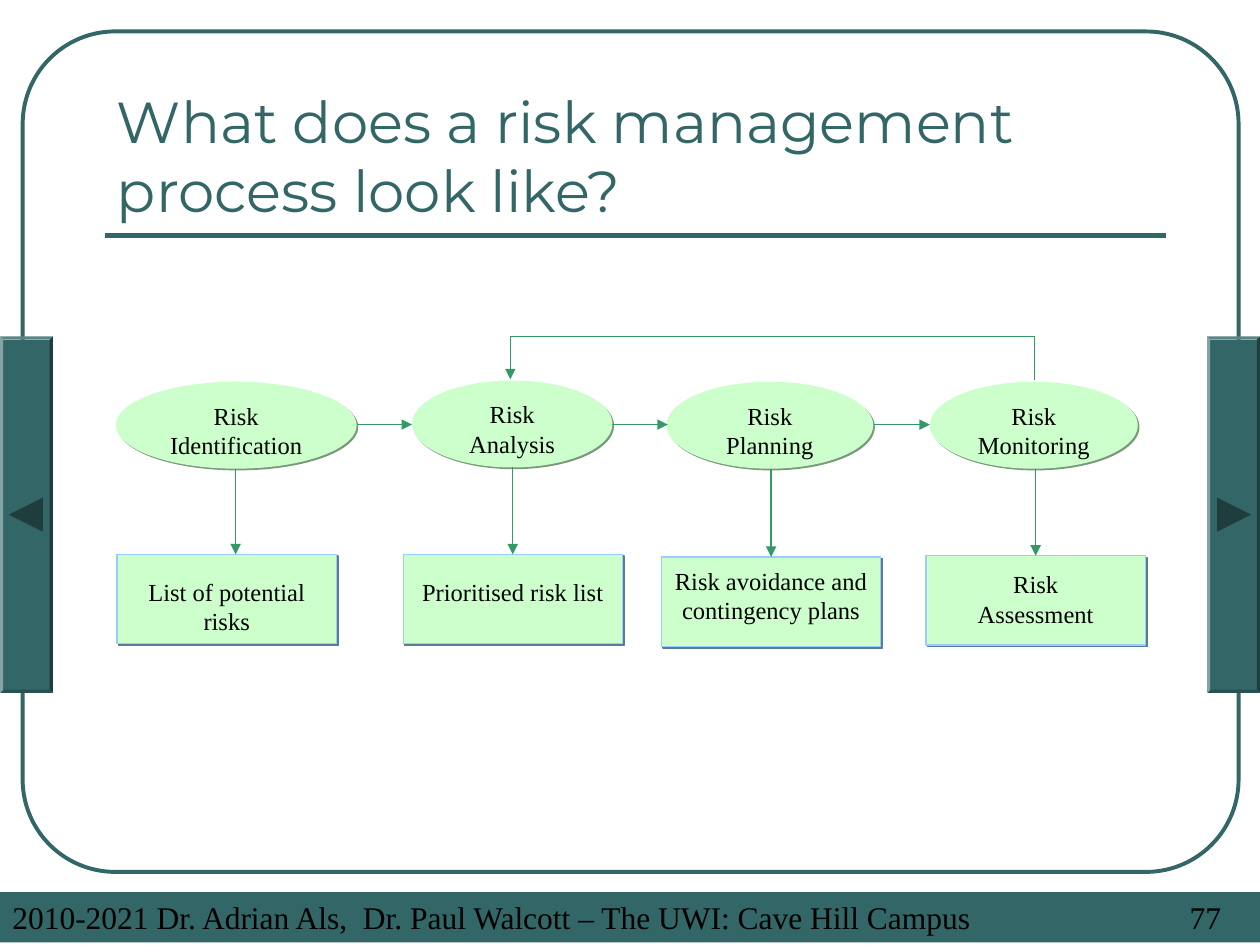
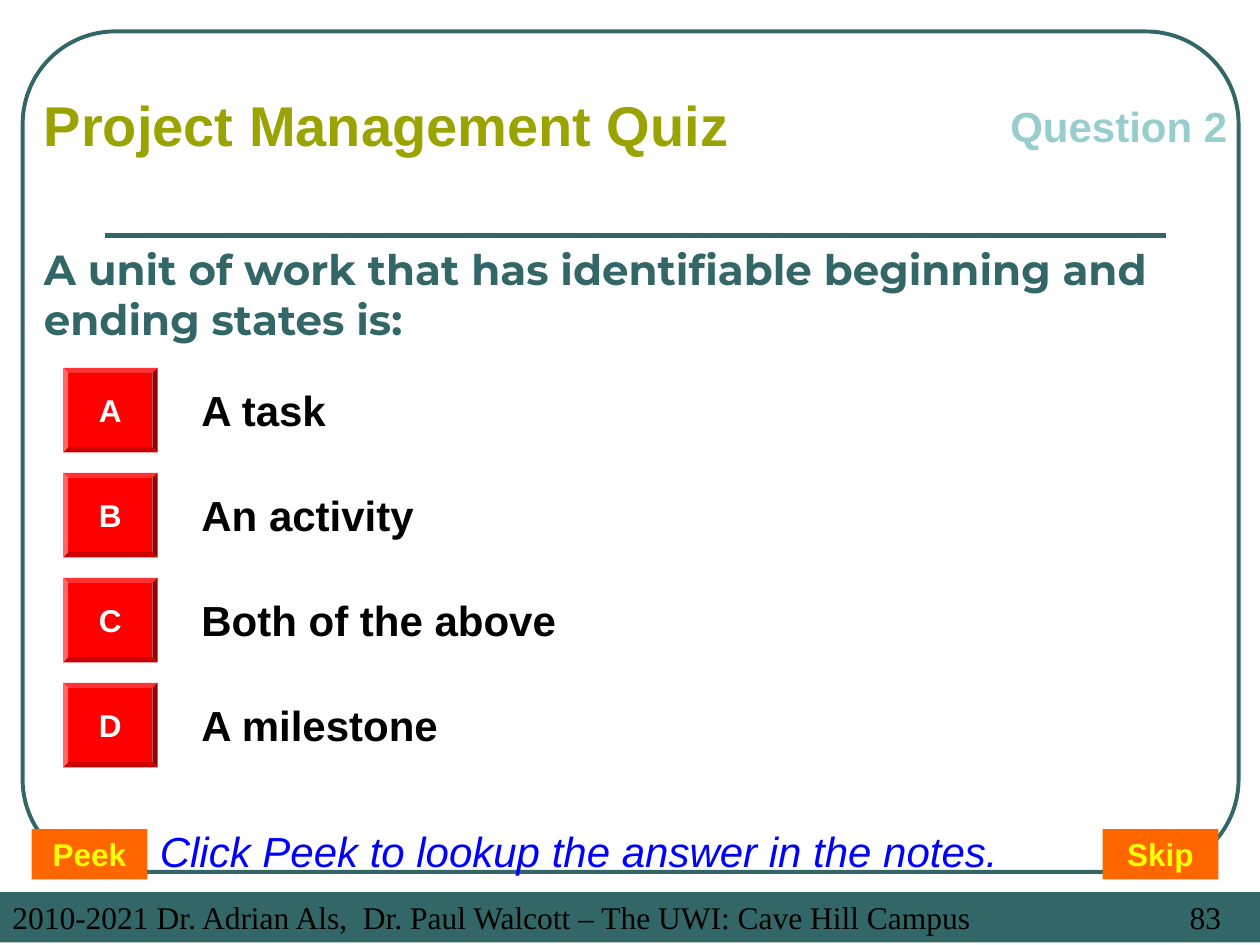
from lxml.etree import SubElement
from pptx import Presentation
from pptx.dml.color import RGBColor
from pptx.enum.shapes import MSO_CONNECTOR, MSO_SHAPE
from pptx.enum.text import MSO_ANCHOR, PP_ALIGN
from pptx.oxml.ns import qn
from pptx.util import Inches, Pt

TEAL = RGBColor(0x33, 0x66, 0x66)
DARK_TEAL = RGBColor(0x1F, 0x3D, 0x3D)
PALE_TEAL = RGBColor(0x97, 0xCD, 0xCC)
GREEN = RGBColor(0x33, 0x99, 0x66)
MINT = RGBColor(0xCC, 0xFF, 0xCC)
SKY = RGBColor(0x99, 0xCC, 0xFF)
OLIVE = RGBColor(0x9B, 0xA3, 0x01)
RED = RGBColor(0xFF, 0x00, 0x00)
ORANGE = RGBColor(0xFF, 0x66, 0x00)
YELLOW = RGBColor(0xFF, 0xFF, 0x00)
BLUE = RGBColor(0x00, 0x00, 0xFF)
BLACK = RGBColor(0x00, 0x00, 0x00)
WHITE = RGBColor(0xFF, 0xFF, 0xFF)
MINT_SHADOW = RGBColor(0x7A, 0x99, 0x7A)
SKY_SHADOW = RGBColor(0x5C, 0x7A, 0x99)

HEADING, BODY, SERIF = "Montserrat", "Arial", "Times New Roman"
LEFT, CENTER, RIGHT = PP_ALIGN.LEFT, PP_ALIGN.CENTER, PP_ALIGN.RIGHT
TOP, MIDDLE, BOTTOM = MSO_ANCHOR.TOP, MSO_ANCHOR.MIDDLE, MSO_ANCHOR.BOTTOM


def add_box(s, x, y, w, h, lines=(), size=18, color=BLACK, font=BODY, bold=False,
            italic=False, align=LEFT, anchor=TOP, kind=None, fill=None, line=None,
            weight=0.75, shadow=None):
    place = [Inches(v) for v in (x, y, w, h)]
    if kind is None:
        sp = s.shapes.add_textbox(*place)
    else:
        sp = s.shapes.add_shape(kind, *place)
        sp.shadow.inherit = False
        if fill is None:
            sp.fill.background()
        else:
            sp.fill.solid()
            sp.fill.fore_color.rgb = fill
        if line is None:
            sp.line.fill.background()
        else:
            sp.line.color.rgb = line
            sp.line.width = Pt(weight)
    if shadow is not None:
        effects = sp._element.spPr.find(qn("a:effectLst"))
        outer = SubElement(effects, qn("a:outerShdw"), dist=str(Pt(1.4)), dir="2700000",
                           algn="ctr", rotWithShape="0")
        SubElement(outer, qn("a:srgbClr"), val=str(shadow))
    tf = sp.text_frame
    tf.word_wrap = True
    tf.vertical_anchor = anchor
    for i, text in enumerate(lines):
        p = tf.add_paragraph() if i else tf.paragraphs[0]
        p.alignment = align
        r = p.add_run()
        r.text = text
        r.font.size = Pt(size)
        r.font.name = font
        r.font.bold = bold
        r.font.italic = italic
        r.font.color.rgb = color
    return sp


def add_line(s, x1, y1, x2, y2, color=GREEN, weight=0.75, arrow=True):
    cx = s.shapes.add_connector(MSO_CONNECTOR.STRAIGHT, Inches(x1), Inches(y1),
                                Inches(x2), Inches(y2))
    cx.line.color.rgb = color
    cx.line.width = Pt(weight)
    if arrow:
        SubElement(cx.line._get_or_add_ln(), qn("a:tailEnd"), type="triangle")
    SubElement(cx._element.spPr, qn("a:effectLst"))
    return cx


prs = Presentation()
prs.slide_width = Inches(10)
prs.slide_height = Inches(7.5)

slides = []
for number in ("77", "83"):
    s = prs.slides.add_slide(prs.slide_layouts[6])
    frame = add_box(s, 0.18, 0.25, 9.65, 6.67, kind=MSO_SHAPE.ROUNDED_RECTANGLE,
                    line=TEAL, weight=2.25)
    frame.adjustments[0] = 0.11
    add_line(s, 0.83, 1.87, 9.25, 1.87, TEAL, 3, arrow=False)
    add_box(s, 0, 7.08, 10, 0.4,
            ["2010-2021 Dr. Adrian Als,  Dr. Paul Walcott – The UWI: Cave Hill Campus"],
            font=SERIF, kind=MSO_SHAPE.RECTANGLE, fill=TEAL)
    add_box(s, 9, 7.08, 0.79, 0.4, [number], font=SERIF, align=RIGHT)
    slides.append(s)
process, quiz = slides

add_box(process, 0.83, 0.58, 8.42, 1.25, ["What does a risk management process look like?"],
        33, TEAL, HEADING, anchor=BOTTOM)

stages = [
    (0.92, 3.03, 1.91, "Identification", 0.93, 4.4, 0.18, ["List of potential risks"]),
    (3.27, 3.02, 1.59, "Analysis", 3.2, 4.4, 0.18, ["Prioritised risk list"]),
    (5.29, 3.03, 1.64, "Planning", 5.25, 4.42, 0.07, ["Risk avoidance and contingency plans"]),
    (7.38, 3.03, 1.65, "Monitoring", 7.35, 4.41, 0.11, ["Risk", "Assessment"]),
]
drops = [1.87, 4.07, 6.12, 8.22]
for drop, (x, y, w, name, box_x, box_y, inset, output) in zip(drops, stages):
    add_box(process, x, y, w, 0.69, ["Risk", name], 14, font=SERIF, align=CENTER,
            kind=MSO_SHAPE.OVAL, fill=MINT, shadow=MINT_SHADOW)
    result = add_box(process, box_x, box_y, 1.74, 0.71, output, 14, font=SERIF, align=CENTER,
                     kind=MSO_SHAPE.RECTANGLE, fill=MINT, line=SKY, shadow=SKY_SHADOW)
    result.text_frame.margin_top = Inches(inset)
    arrow = add_line(process, drop, y + 0.69, drop, box_y)
    if abs(box_x + 1.74 / 2 - drop) < 0.02:
        arrow.end_connect(result, 0)

for x in (2.83, 4.86, 6.94):
    add_line(process, x, 3.37, x + 0.44, 3.37)

add_line(process, 8.21, 3.02, 8.21, 2.67, arrow=False)
add_line(process, 8.21, 2.67, 4.05, 2.67, arrow=False)
add_line(process, 4.05, 2.67, 4.05, 3.01)

for bar_x, arrow_x, turn in ((9.58, 9.66, 90), (0, 0.07, -90)):
    bar = add_box(process, bar_x, 2.67, 0.42, 2.83, kind=MSO_SHAPE.BEVEL, fill=TEAL)
    bar.adjustments[0] = 0.06
    pointer = add_box(process, arrow_x, 3.95, 0.27, 0.27, kind=MSO_SHAPE.ISOSCELES_TRIANGLE,
                      fill=DARK_TEAL)
    pointer.rotation = turn

add_box(quiz, 0.25, 1.58, 9.5, 1.5,
        ["A unit of work that has identifiable beginning and ending states is:"],
        24, TEAL, HEADING, bold=True, anchor=MIDDLE)
add_box(quiz, 7.92, 0.75, 2.08, 0.5, ["Question 2"], 24, PALE_TEAL, bold=True)
add_box(quiz, 0.25, 0.67, 6.5, 0.64, ["Project Management Quiz"], 32, OLIVE, bold=True)

answers = ["A task", "An activity", "Both of the above", "A milestone"]
for i, (letter, answer) in enumerate(zip("ABCD", answers)):
    y = 2.92 + i * 2.5 / 3
    button = add_box(quiz, 0.5, y, 0.75, 0.67, [letter], 18, WHITE, bold=True, align=CENTER,
                     anchor=MIDDLE, kind=MSO_SHAPE.BEVEL, fill=RED)
    button.adjustments[0] = 0.06
    button.text_frame.word_wrap = False
    add_box(quiz, 1.5, y + 0.08, 8.25, 0.5, [answer], 24, bold=True)

for x, label in ((0.25, "Peek"), (8.75, "Skip")):
    add_box(quiz, x, 6.58, 0.92, 0.4, [label], 18, YELLOW, bold=True, align=CENTER,
            kind=MSO_SHAPE.RECTANGLE, fill=ORANGE)
add_box(quiz, 1.17, 6.5, 7.17, 0.5, ["Click Peek to lookup the answer in the notes."],
        24, BLUE, italic=True)

prs.save("out.pptx")
